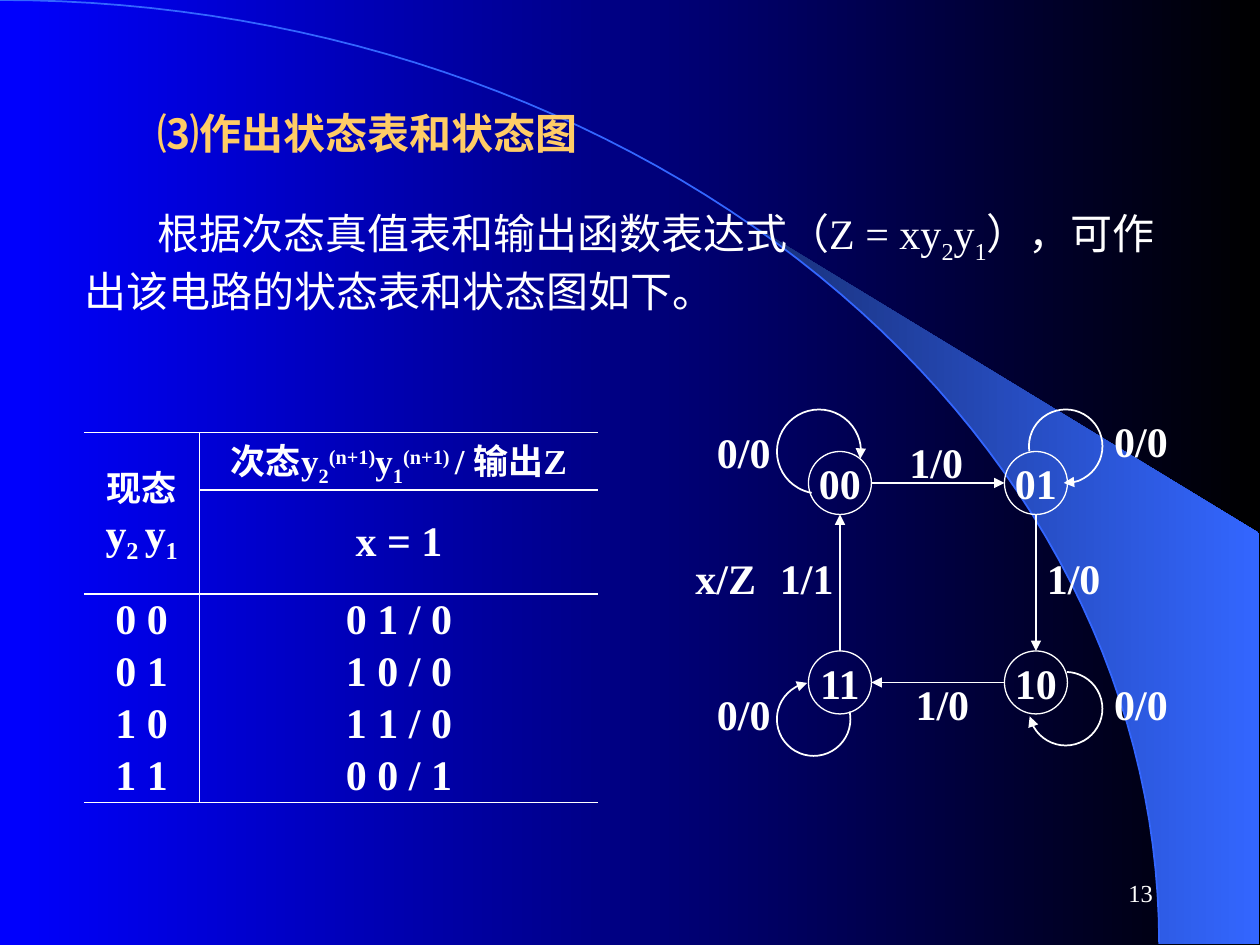
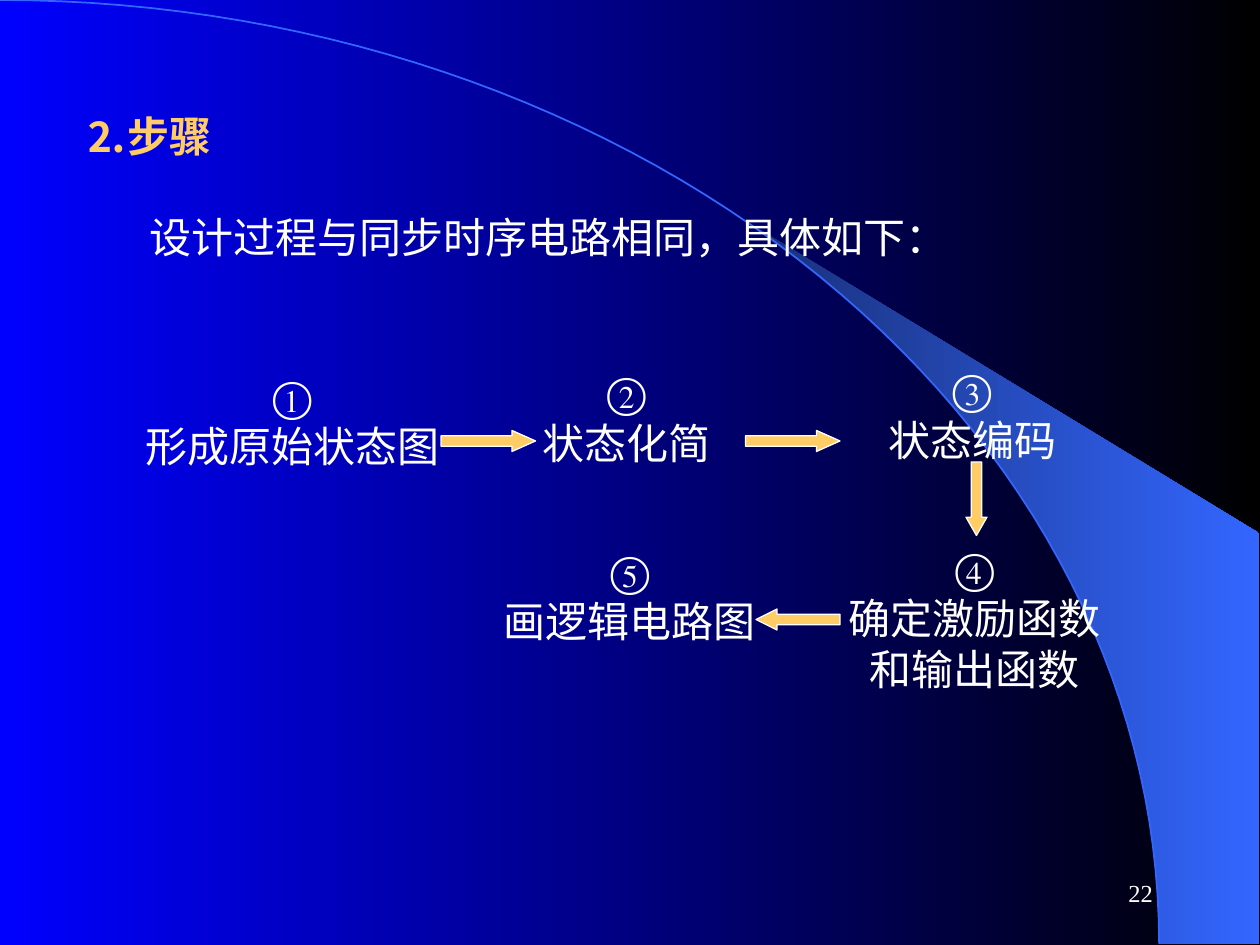
from math import cos, radians, sin

from lxml.etree import SubElement
from pptx import Presentation
from pptx.dml.color import RGBColor
from pptx.enum.shapes import MSO_CONNECTOR, MSO_SHAPE as SHAPE
from pptx.enum.text import MSO_ANCHOR as ANCHOR, MSO_AUTO_SIZE, PP_ALIGN as ALIGN
from pptx.oxml.ns import qn
from pptx.util import Pt

FONT = "Times New Roman"
WHITE, GOLD, BLUE, NAVY = "FFFFFF", "FFCC66", "3366FF", "182F76"
SUB, SUP = -25000, 30000
SLIDE_W, SLIDE_H = 720, 540


def rgb(hex_code):
    """Return the colour for a hex string."""
    return RGBColor.from_string(hex_code)


def paint_gradient(fill, start, end):
    """Fill from left to right with two colours."""
    fill.gradient()
    fill.gradient_angle = 0
    for stop, color, position in zip(fill.gradient_stops, (start, end), (0, 1)):
        stop.color.rgb = rgb(color)
        stop.position = position


def write(frame, paragraphs, size=24, color=WHITE, bold=False,
          align=ALIGN.LEFT, anchor=ANCHOR.TOP, indent=0):
    """Write paragraphs, each a string or a list of (text, baseline) runs."""
    frame.word_wrap = True
    frame.auto_size = MSO_AUTO_SIZE.NONE
    frame.vertical_anchor = anchor
    frame.margin_left = frame.margin_right = frame.margin_top = frame.margin_bottom = 0
    for index, content in enumerate(paragraphs):
        paragraph = frame.add_paragraph() if index else frame.paragraphs[0]
        paragraph.alignment = align
        if indent:
            paragraph._p.get_or_add_pPr().set("indent", str(Pt(indent)))
        runs = [(content, 0)] if isinstance(content, str) else content
        for text, baseline in runs:
            run = paragraph.add_run()
            run.text = text
            font = run.font
            font.name, font.size, font.bold = FONT, Pt(size), bold
            font.color.rgb = rgb(color)
            if baseline:
                font._element.set("baseline", str(baseline))


def add_text(slide, paragraphs, left, top, width, height, **style):
    """Add a text box without insets."""
    box = slide.shapes.add_textbox(Pt(left), Pt(top), Pt(width), Pt(height))
    write(box.text_frame, paragraphs, **style)


def add_label(slide, text, center_x, center_y):
    """Add a short bold label centred on a point."""
    add_text(slide, [text], center_x - 30, center_y - 18, 60, 36, bold=True,
             align=ALIGN.CENTER, anchor=ANCHOR.MIDDLE)


def add_preset(slide, kind, left, top, width, height, fill=None, weight=0.75):
    """Add a preset shape with a white outline."""
    shape = slide.shapes.add_shape(kind, Pt(left), Pt(top), Pt(width), Pt(height))
    shape.shadow.inherit = False
    if fill:
        shape.fill.solid()
        shape.fill.fore_color.rgb = rgb(fill)
    else:
        shape.fill.background()
    shape.line.color.rgb = rgb(WHITE)
    shape.line.width = Pt(weight)
    return shape


def add_arrowhead(line):
    """Put a triangle at the end of a line."""
    SubElement(line._get_or_add_ln(), qn("a:tailEnd"), type="triangle")


def add_arrow(slide, start, end):
    """Draw a straight arrow between two points."""
    arrow = slide.shapes.add_connector(
        MSO_CONNECTOR.STRAIGHT, *(Pt(value) for value in (*start, *end)))
    arrow.line.color.rgb = rgb(WHITE)
    arrow.line.width = Pt(1)
    add_arrowhead(arrow.line)
    SubElement(arrow._element.spPr, qn("a:effectLst"))


def add_outline(slide, points, close):
    """Build a freeform through points."""
    start, *others = [(Pt(x), Pt(y)) for x, y in points]
    builder = slide.shapes.build_freeform(*start, scale=1.0)
    builder.add_line_segments(others, close=close)
    shape = builder.convert_to_shape()
    shape.shadow.inherit = False
    return shape


def add_backdrop(slide):
    """Draw the quarter ellipse and the bright wing to its right."""
    def rim(first_angle):
        steps = 60
        angles = [radians(first_angle * (1 - step / steps)) for step in range(steps + 1)]
        return [(662.4 * cos(a), 539.3 * (1 - sin(a))) for a in angles]

    wing = add_outline(slide, rim(50.2) + [(719.3, 539.3), (719.3, 304.6)], close=True)
    paint_gradient(wing.fill, NAVY, BLUE)
    wing.line.fill.background()
    curve = add_outline(slide, rim(90), close=False)
    curve.fill.background()
    curve.line.color.rgb = rgb(BLUE)
    curve.line.width = Pt(1)


def add_base_slide(deck, heading, left, top, number):
    """Add a slide with backdrop, heading and page number."""
    slide = deck.slides.add_slide(deck.slide_layouts[5])
    add_backdrop(slide)
    title = slide.shapes.title
    slide.shapes._spTree.append(title._element)
    title.left, title.top, title.width, title.height = Pt(left), Pt(top), Pt(540), Pt(32)
    write(title.text_frame, [heading], color=GOLD, bold=True)
    add_text(slide, [number], 516, 492, 142.8, 36, size=14,
             align=ALIGN.RIGHT, anchor=ANCHOR.MIDDLE)
    return slide


def set_borders(cell, edges):
    """Rule the named edges of a cell and clear the others."""
    cell.fill.background()
    properties = cell._tc.get_or_add_tcPr()
    for index, edge in enumerate("LRTB"):
        line = SubElement(properties, qn(f"a:ln{edge}"), w=str(Pt(0.75)))
        properties.insert(index, line)
        if edge in edges:
            SubElement(SubElement(line, qn("a:solidFill")), qn("a:srgbClr"), val=WHITE)
        else:
            SubElement(line, qn("a:noFill"))


def add_state_table(slide, left, top):
    """Add the state table with its two-row header."""
    present = ["现态", [("y", 0), ("2 ", SUB), ("y", 0), ("1", SUB)]]
    following = [[("次态y", 0), ("2", SUB), ("(n+1)", SUP), ("y", 0), ("1", SUB),
                  ("(n+1) ", SUP), ("/ 输出Z", 0)]]
    transitions = [("0 0", "0 1 / 0"), ("0 1", "1 0 / 0"),
                   ("1 0", "1 1 / 0"), ("1 1", "0 0 / 1")]
    widths, heights = [66, 228], [33, 28] + [29.8] * 4
    table = slide.shapes.add_table(len(heights), len(widths), Pt(left), Pt(top),
                                   Pt(sum(widths)), Pt(sum(heights))).table
    table.first_row = table.horz_banding = False
    for column, width in zip(table.columns, widths):
        column.width = Pt(width)
    for row, height in zip(table.rows, heights):
        row.height = Pt(height)

    def ruled_below(row, column):
        return row in (-1, 1, 5) or (row, column) == (0, 1)

    for row in range(len(heights)):
        for column in range(len(widths)):
            edges = "LR"[1 - column]
            edges += "T" if ruled_below(row - 1, column) else ""
            edges += "B" if ruled_below(row, column) else ""
            set_borders(table.cell(row, column), edges)

    def put(row, column, content, **style):
        cell = table.cell(row, column)
        write_cell = dict(bold=True, align=ALIGN.CENTER, anchor=ANCHOR.MIDDLE) | style
        cell.margin_left = cell.margin_right = cell.margin_top = cell.margin_bottom = 0
        cell.vertical_anchor = write_cell["anchor"]
        write(cell.text_frame, content, **write_cell)
        cell.text_frame._txBody.bodyPr.attrib.clear()

    table.cell(0, 0).merge(table.cell(1, 0))
    put(0, 0, present)
    for run in table.cell(0, 0).text_frame.paragraphs[0].runs:
        run.font.size = Pt(20)
    put(0, 1, following, size=20)
    put(1, 1, ["x = 1"])
    for row, values in enumerate(transitions, 2):
        for column, value in enumerate(values):
            put(row, column, [value])


def add_state_diagram(slide, left, top):
    """Draw four states, the arrows between them, their loops and labels."""
    radius = 18
    west, east, north, south = left + 90, left + 202, top + 42, top + 156
    states = {"00": (west, north), "01": (east, north),
              "10": (east, south), "11": (west, south)}
    loops = {"00": (-12, -18, 24, 100, 10), "01": (17, -21, 21, 172, 93),
             "10": (17, 15, 21, 272, 168), "11": (-15, 21, 21, 348, 260)}
    for state, (x, y) in states.items():
        circle = add_preset(slide, SHAPE.OVAL, x - radius, y - radius,
                            2 * radius, 2 * radius)
        write(circle.text_frame, [state], bold=True, align=ALIGN.CENTER,
              anchor=ANCHOR.MIDDLE)
        circle.text_frame.word_wrap = False
        dx, dy, reach, start, end = loops[state]
        loop = add_preset(slide, SHAPE.ARC, x + dx - reach, y + dy - reach,
                          2 * reach, 2 * reach, weight=1)
        loop.adjustments[0], loop.adjustments[1] = start * 0.6, end * 0.6
        add_arrowhead(loop.line)
    add_arrow(slide, (west + radius, north), (east - radius, north))
    add_arrow(slide, (east, north + radius), (east, south - radius))
    add_arrow(slide, (east - radius, south), (west + radius, south))
    add_arrow(slide, (west, south - radius), (west, north + radius))
    labels = [("0/0", 35, 24), ("0/0", 262, 18), ("0/0", 262, 168), ("0/0", 35, 174),
              ("1/0", 145, 30), ("1/0", 223.5, 96), ("1/0", 148.5, 168),
              ("1/1", 71, 96), ("x/Z", 24.7, 96)]
    for text, x, y in labels:
        add_label(slide, text, left + x, top + y)


def add_design_flow(slide, left, top):
    """Draw the five design steps and the block arrows between them."""
    steps = [(97, 7.5, ["①", "形成原始状态图"]), (288, 5.5, ["②", "状态化简"]),
             (485.5, 4, ["③", "状态编码"]),
             (487, 106, ["④", "确定激励函数", "和输出函数"]),
             (290, 107.5, ["⑤", "画逻辑电路图"])]
    for center, y, lines in steps:
        add_text(slide, lines, left + center - 90, top + y, 180, 29 * len(lines),
                 align=ALIGN.CENTER)
    arrows = [(SHAPE.RIGHT_ARROW, 182, 42, 54, 12, 1.12),
              (SHAPE.RIGHT_ARROW, 356, 42, 54, 12, 1.12),
              (SHAPE.DOWN_ARROW, 482, 60, 12, 42, 0.87),
              (SHAPE.LEFT_ARROW, 362, 144, 48, 12, 1)]
    for kind, x, y, width, height, head in arrows:
        arrow = add_preset(slide, kind, left + x, top + y, width, height, fill=GOLD)
        arrow.adjustments[0], arrow.adjustments[1] = 0.5, head


def add_state_slide(deck):
    """Build the slide with the state table and state diagram."""
    slide = add_base_slide(deck, "⑶作出状态表和状态图", 90, 61.2, "13")
    explanation = [("根据次态真值表和输出函数表达式（Z = xy", 0), ("2", SUB), ("y", 0),
                   ("1", SUB), ("），可作出该电路的状态表和状态图如下。", 0)]
    add_text(slide, [explanation], 48.2, 118.8, 635, 64, indent=41.6)
    add_state_table(slide, 48, 247)
    add_state_diagram(slide, 390, 234)


def add_steps_slide(deck):
    """Build the slide with the design steps."""
    slide = add_base_slide(deck, "⒉步骤", 49, 63.4, "22")
    add_text(slide, ["设计过程与同步时序电路相同，具体如下："], 85.5, 121, 520, 32)
    add_design_flow(slide, 70, 204)


def main():
    """Build and save the deck."""
    deck = Presentation()
    deck.slide_width, deck.slide_height = Pt(SLIDE_W), Pt(SLIDE_H)
    paint_gradient(deck.slide_master.background.fill, "0000FF", "000000")
    add_state_slide(deck)
    add_steps_slide(deck)
    deck.save("out.pptx")


if __name__ == "__main__":
    main()
